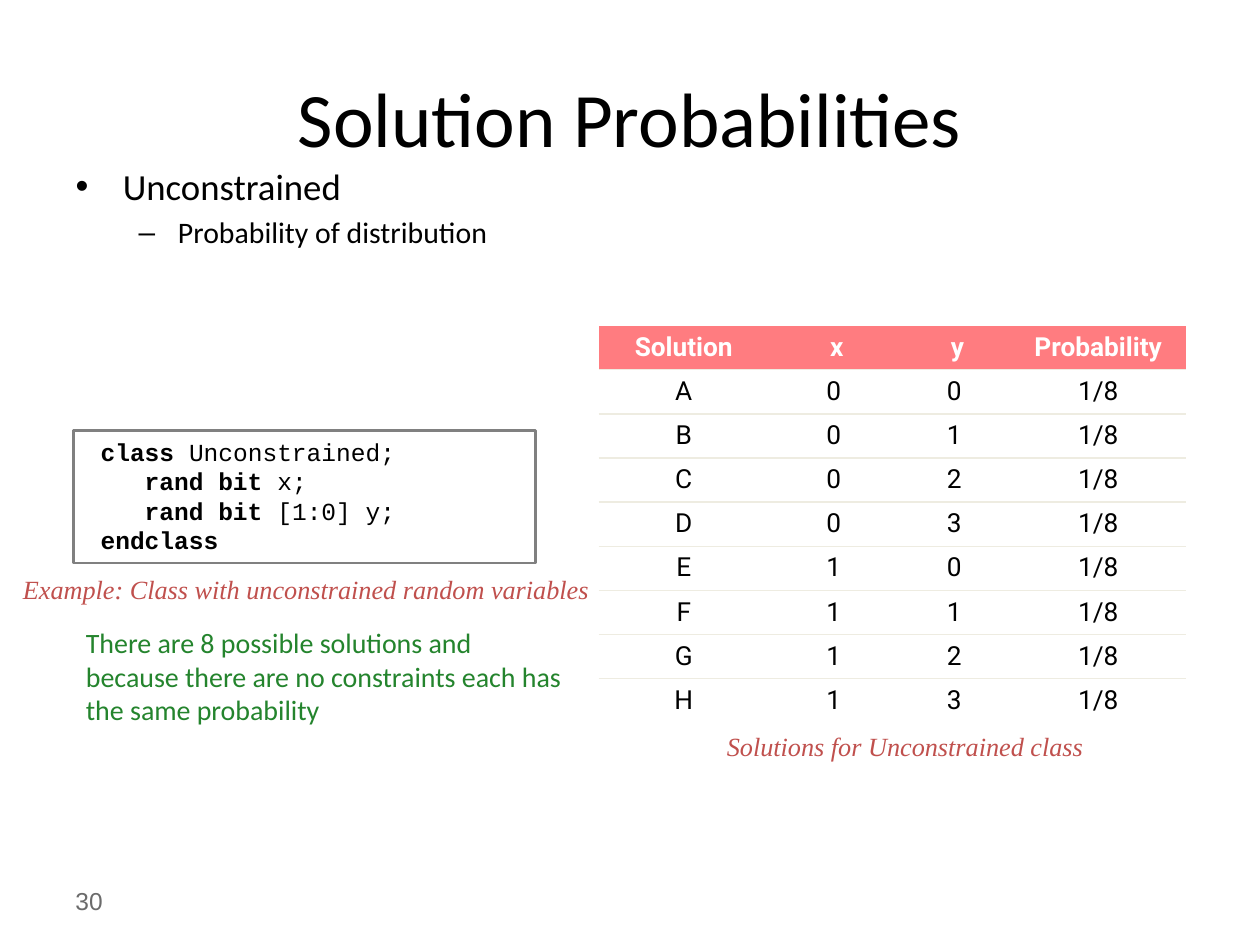
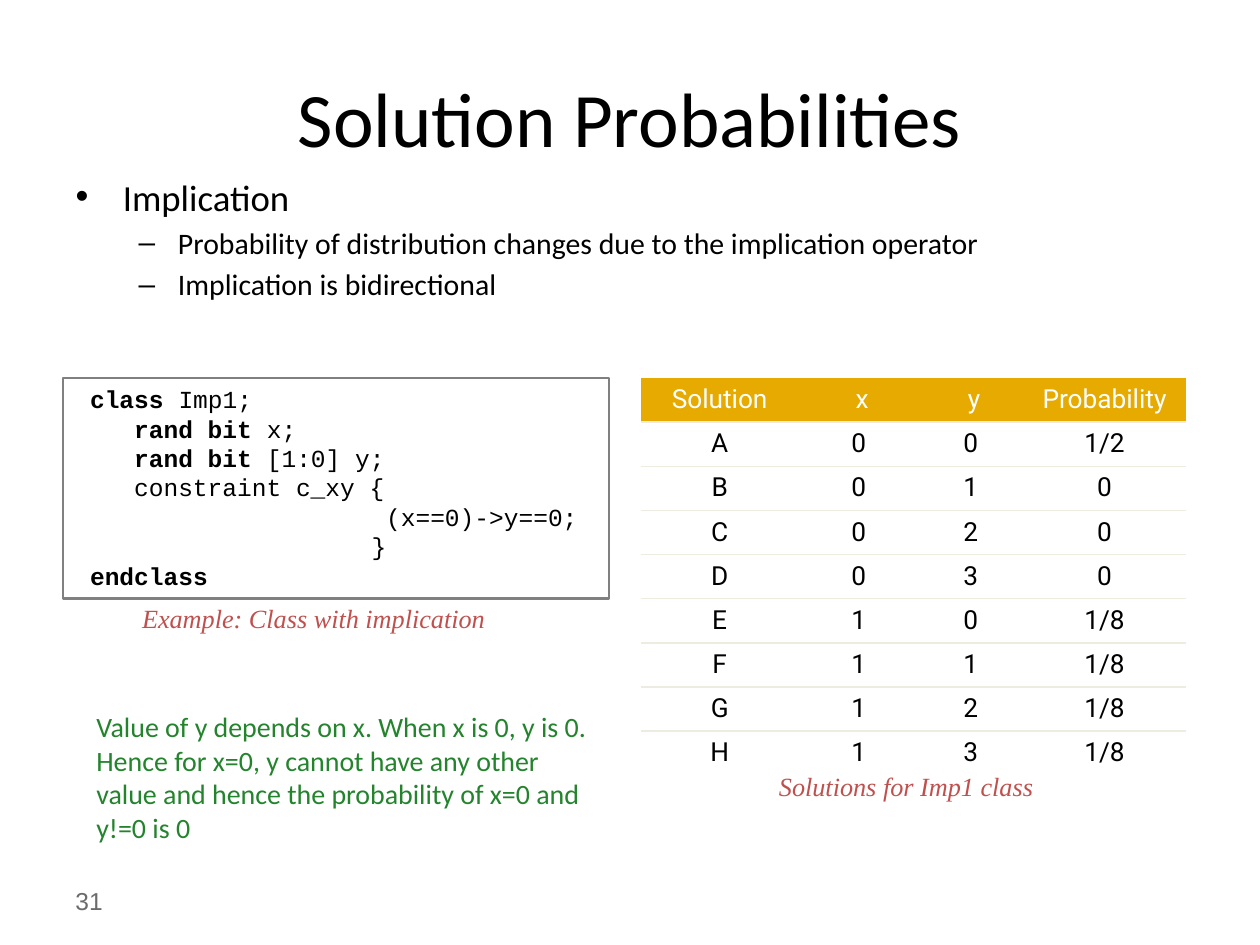
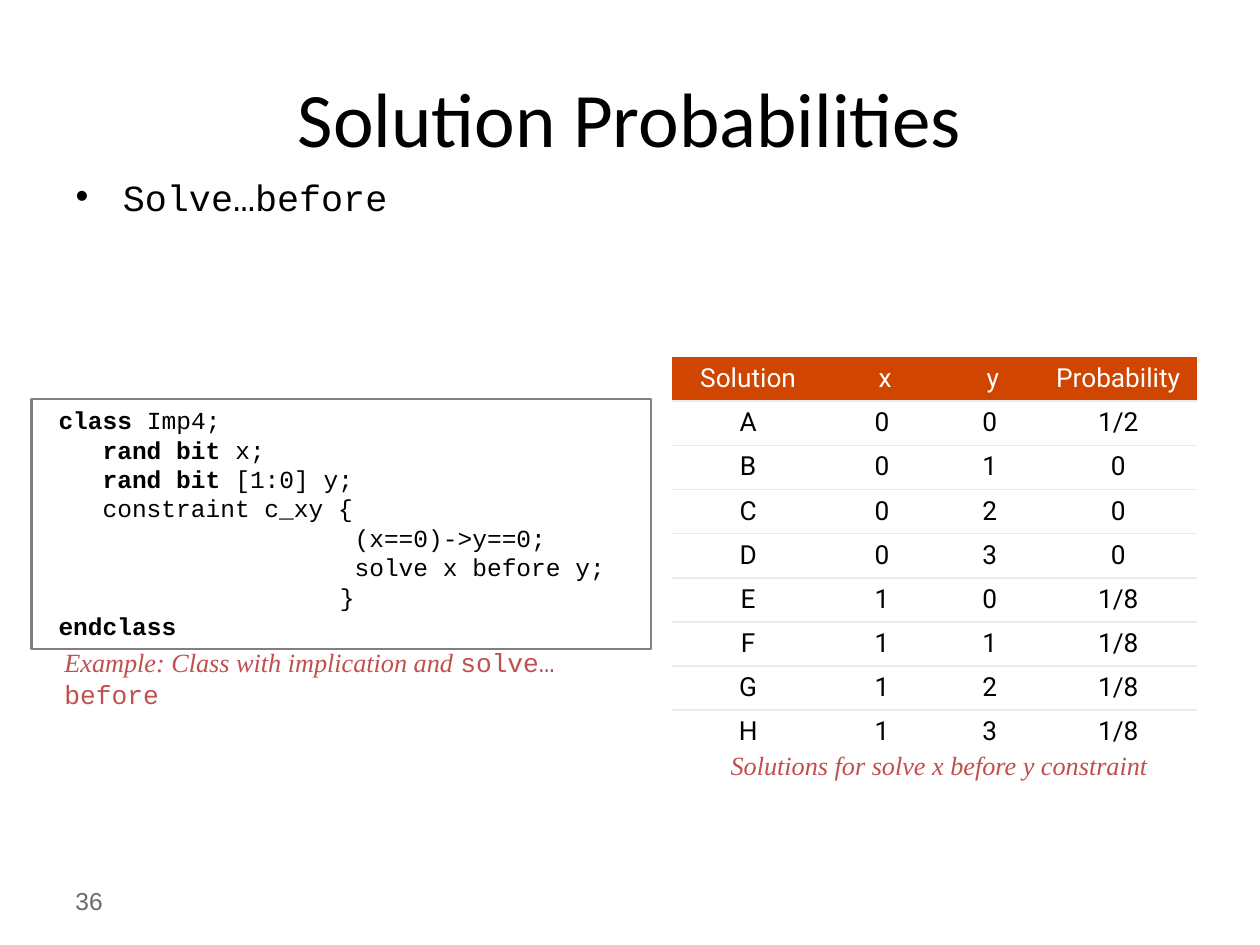
import itertools
from dataclasses import dataclass
from typing import Optional

import pptx
import pptx.dml.color
import pptx.enum.shapes
import pptx.enum.text
import pptx.oxml
import pptx.oxml.ns
import pptx.util

# Shared look
BLACK, WHITE, GREY = "000000", "FFFFFF", "6B6B6B"
CAPTION_RED, NOTE_GREEN = "C0504D", "24842D"
FRAME_GREY, RULE_COLOUR = "808080", "EEECE1"
SANS, MONO, SERIF = "Calibri", "Courier New", "Times New Roman"
TABLE_FONT, NUMBER_FONT = "Roboto", "Arial"

# The slide is a grid of 120 columns and 90 rows
COLUMNS, ROWS = 120, 90
SLIDE_WIDTH, SLIDE_HEIGHT = pptx.util.Inches(10), pptx.util.Inches(7.5)

CODE_SIZE = 14
CODE_CHAR = 0.6 * CODE_SIZE  # points per fixed-width character
TAB = 72  # points per tab stop
COLUMN_SHARES = (0.29, 0.22, 0.19, 0.30)
TABLE_ROW = 4.2
NO_STYLE = "{2D5ABB26-0587-4C30-8999-92F81FD0307C}"


@dataclass(frozen=True)
class Area:
    """A rectangle in grid columns and rows."""
    column: float
    row: float
    width: float
    height: float

    def lengths(self) -> tuple[int, int, int, int]:
        across, down = SLIDE_WIDTH / COLUMNS, SLIDE_HEIGHT / ROWS
        return (round(self.column * across), round(self.row * down),
                round(self.width * across), round(self.height * down))


@dataclass(frozen=True)
class Span:
    text: str
    font: str
    size: float
    colour: str = BLACK
    bold: bool = False
    italic: bool = False


@dataclass(frozen=True)
class CodeLine:
    keyword: str
    rest: str = ""
    chars: int = 1
    tabs: int = 0


@dataclass(frozen=True)
class Caption:
    area: Area
    text: str
    code: str = ""


@dataclass(frozen=True)
class Note:
    area: Area
    text: str


@dataclass(frozen=True)
class Example:
    """Everything that differs from one slide to the next."""
    number: int
    body_row: float
    bullets: tuple[str, ...]
    bullet_font: str
    code_area: Area
    code: tuple[CodeLine, ...]
    table_area: Area
    header_colour: str
    header_bold: bool
    probabilities: tuple[str, ...]
    captions: tuple[Caption, ...]
    note: Optional[Note] = None


# Text helpers
def rgb(colour: str) -> pptx.dml.color.RGBColor:
    return pptx.dml.color.RGBColor.from_string(colour)


def style(run, span: Span) -> None:
    font = run.font
    font.name, font.size = span.font, pptx.util.Pt(span.size)
    font.bold, font.italic = span.bold, span.italic
    font.color.rgb = rgb(span.colour)


def write(para, *spans: Span) -> None:
    for span in spans:
        run = para.add_run()
        run.text = span.text
        style(run, span)


def add_text(page, area: Area, *spans: Span, wrap: bool = True,
             middle: bool = False) -> None:
    box = page.shapes.add_textbox(*area.lengths())
    frame = box.text_frame
    frame.word_wrap = wrap
    if middle:
        frame.vertical_anchor = pptx.enum.text.MSO_ANCHOR.MIDDLE
    write(frame.paragraphs[0], *spans)


def place(shape, area: Area) -> None:
    shape.left, shape.top, shape.width, shape.height = area.lengths()


# Parts of a slide
def fill_placeholders(page, example: Example) -> None:
    title, body = page.placeholders[0], page.placeholders[1]
    place(title, Area(6, 3.6, 108, 15))
    title.text_frame.text = "Solution Probabilities"
    style(title.text_frame.paragraphs[0].runs[0], Span("", SANS, 44))
    place(body, Area(6, example.body_row, 108, 59.4))
    frame = body.text_frame
    frame.text = "\n".join(example.bullets)
    frame.auto_size = pptx.enum.text.MSO_AUTO_SIZE.NONE
    for index, para in enumerate(frame.paragraphs):
        para.level = min(index, 1)
        size = 17 if index else 21
        style(para.runs[0], Span("", example.bullet_font, size))


def add_code(page, area: Area, lines: tuple[CodeLine, ...]) -> None:
    box = page.shapes.add_shape(
        pptx.enum.shapes.MSO_SHAPE.RECTANGLE, *area.lengths())
    box.shadow.inherit = False
    box.fill.background()
    box.line.color.rgb = rgb(FRAME_GREY)
    box.line.width = pptx.util.Pt(1.25)
    frame = box.text_frame
    frame.word_wrap = True
    frame.vertical_anchor = pptx.enum.text.MSO_ANCHOR.TOP
    frame.text = "\n".join(line.keyword for line in lines)
    for para, line in zip(frame.paragraphs, lines):
        para.alignment = pptx.enum.text.PP_ALIGN.LEFT
        indent = line.tabs * TAB + line.chars * CODE_CHAR
        properties = para._p.get_or_add_pPr()
        properties.set("marL", str(pptx.util.Pt(indent)))
        properties.set("indent", "0")
        for run in para.runs:
            style(run, Span("", MONO, CODE_SIZE, bold=True))
        if line.rest:
            write(para, Span(line.rest, MONO, CODE_SIZE))


def rule_below(cell) -> None:
    border = pptx.oxml.parse_xml(
        f'<a:lnB {pptx.oxml.ns.nsdecls("a")} w="12700"><a:solidFill>'
        f'<a:srgbClr val="{RULE_COLOUR}"/></a:solidFill></a:lnB>')
    cell._tc.get_or_add_tcPr().insert(0, border)


def add_solutions(page, example: Example) -> None:
    values = itertools.product("01", "0123")
    rows = [("Solution", " x", " y", "Probability")]
    rows += [(name, x, y, chance) for name, (x, y), chance
             in zip("ABCDEFGH", values, example.probabilities)]
    left, top, width, height = example.table_area.lengths()
    table = page.shapes.add_table(
        len(rows), len(COLUMN_SHARES), left, top, width, height).table
    properties = table._tbl.tblPr
    properties.find(pptx.oxml.ns.qn("a:tableStyleId")).text = NO_STYLE
    table.horz_banding = False
    for column, share in zip(table.columns, COLUMN_SHARES):
        column.width = round(width * share)
    for row_index, texts in enumerate(rows):
        header = row_index == 0
        for column_index, text in enumerate(texts):
            cell = table.cell(row_index, column_index)
            if header:
                cell.fill.solid()
                cell.fill.fore_color.rgb = rgb(example.header_colour)
            else:
                cell.fill.background()
            if row_index < len(rows) - 1:
                rule_below(cell)
            para = cell.text_frame.paragraphs[0]
            para.alignment = pptx.enum.text.PP_ALIGN.CENTER
            write(para, Span(text, TABLE_FONT, 15,
                             WHITE if header else BLACK,
                             bold=header and example.header_bold))


def add_caption(page, caption: Caption) -> None:
    spans = [Span(caption.text, SERIF, 15, CAPTION_RED, italic=True)]
    if caption.code:
        spans.append(Span(caption.code, MONO, 15, CAPTION_RED))
    add_text(page, caption.area, *spans, wrap=bool(caption.code))


def build(deck, example: Example) -> None:
    page = deck.slides.add_slide(deck.slide_layouts[1])
    fill_placeholders(page, example)
    add_text(page, Area(6, 83.4, 28, 4.8),
             Span(str(example.number), NUMBER_FONT, 14, GREY), middle=True)
    add_code(page, example.code_area, example.code)
    add_solutions(page, example)
    if example.note:
        add_text(page, example.note.area,
                 Span(example.note.text, SANS, 16, NOTE_GREEN))
    for caption in example.captions:
        add_caption(page, caption)


# Content
def class_code(name: str, *constraints: str) -> tuple[CodeLine, ...]:
    lines = [CodeLine("class", f" {name};"),
             CodeLine("rand bit", " x;", chars=4),
             CodeLine("rand bit", " [1:0] y;", chars=4)]
    if constraints:
        lines.append(CodeLine("", "constraint c_xy {", chars=4))
        lines += [CodeLine("", text, chars=4, tabs=2) for text in constraints]
        lines.append(CodeLine("", "}", chars=3, tabs=2))
    return (*lines, CodeLine("endclass"))


def table_at(column: float, row: float, width: float) -> Area:
    return Area(column, row, width, 9 * TABLE_ROW)


def caption_at(column: float, row: float, width: float) -> Area:
    return Area(column, row, width, 4.2)


EVEN = ("1/8",) * 8
IMPLIED = ("1/2",) + ("0",) * 3 + ("1/8",) * 4

EXAMPLES = (
    Example(
        30, 15, ("Unconstrained", "Probability of distribution"), SANS,
        Area(7, 41, 44, 12.6), class_code("Unconstrained"),
        table_at(57, 31, 56), "FF7C80", True, EVEN,
        (Caption(caption_at(1, 54, 57.2),
                 "Example: Class with unconstrained random variables"),
         Caption(caption_at(68.05, 69, 37.5),
                 "Solutions for Unconstrained class")),
        Note(Area(7, 59, 47.9, 10.8),
             "There are 8 possible solutions and because there are no "
             "constraints each has the same probability")),
    Example(
        31, 16,
        ("Implication",
         "Probability of distribution changes due to the implication operator",
         "Implication is bidirectional"), SANS,
        Area(6, 36, 52, 21), class_code("Imp1", "(x==0)->y==0;"),
        table_at(61, 36, 52), "E6AA00", False, IMPLIED,
        (Caption(caption_at(12.35, 56.8, 36), "Example: Class with implication"),
         Caption(caption_at(73, 72.8, 27.5), "Solutions for Imp1 class")),
        Note(Area(8, 67, 50, 14),
             "Value of y depends on x. When x is 0, y is 0. Hence for x=0, "
             "y cannot have any other value and hence the probability of "
             "x=0 and y!=0 is 0")),
    Example(
        36, 16, ("Solve…before",), MONO,
        Area(3, 38, 59, 23.8),
        class_code("Imp4", "(x==0)->y==0;", "solve x before y;"),
        table_at(64, 34, 50), "D04500", False, IMPLIED,
        (Caption(caption_at(4.95, 61, 57),
                 "Example: Class with implication and ", "solve…before"),
         Caption(caption_at(68.4, 70.8, 43),
                 "Solutions for solve x before y constraint"))),
)

deck = pptx.Presentation()
deck.slide_width, deck.slide_height = SLIDE_WIDTH, SLIDE_HEIGHT
for example in EXAMPLES:
    build(deck, example)
deck.save("out.pptx")
